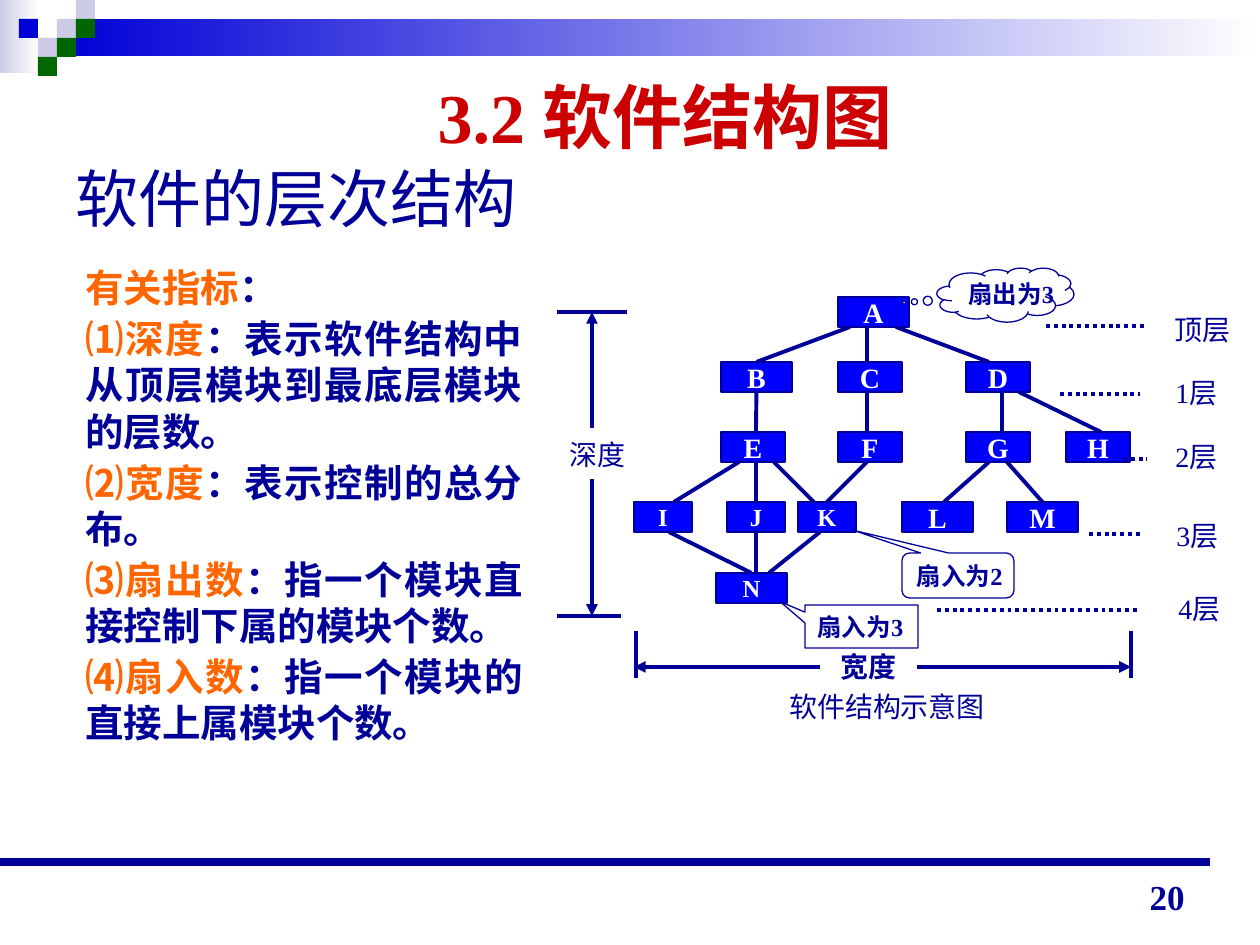
import lxml.etree
import pptx
import pptx.dml.color
import pptx.enum.dml
import pptx.enum.shapes
import pptx.enum.text
import pptx.oxml.ns
import pptx.util

SCALE = 914400 // 126
THEME = {
    "navy": "000099", "blue": "0000D6", "box": "0000FF", "pale": "CCCCE6",
    "green": "006600", "orange": "FF6600", "red": "CC0000", "white": "FFFFFF",
    "latin": "Times New Roman", "cjk": "Noto Sans CJK SC",
    "head": 40, "title": 36, "body": 22, "page": 20, "label": 16, "note": 14,
}
KIND = pptx.enum.shapes.MSO_SHAPE
ALIGN = pptx.enum.text.PP_ALIGN
ANCHOR = pptx.enum.text.MSO_ANCHOR
qn = pptx.oxml.ns.qn

TILE = 19
TILES = [(3, 1, "pale"), (4, 0, "pale"), (4, 1, "green"), (2, 2, "pale"),
         (1, 1, "blue"), (3, 2, "green"), (2, 3, "green")]
BODY = [
    ("有关指标", "："),
    ("⑴深度", "：表示软件结构中从顶层模块到最底层模块的层数。"),
    ("⑵宽度", "：表示控制的总分布。"),
    ("⑶扇出数", "：指一个模块直接控制下属的模块个数。"),
    ("⑷扇入数", "：指一个模块的直接上属模块个数。"),
]
TALL = 30
ROWS = [
    (297, [("A", 838, 71)]),
    (362, [("B", 721, 71), ("C", 838, 64), ("D", 966, 64)]),
    (432, [("E", 721, 64), ("F", 838, 64), ("G", 966, 64), ("H", 1066, 64)]),
    (502, [("I", 634, 58), ("J", 727, 58), ("K", 798, 58),
           ("L", 902, 71), ("M", 1007, 71)]),
    (573, [("N", 716, 71)]),
]
SMALL = "IJKN"
LINKS = [
    ("A", 850, "B", 756), ("A", 867, "C", 867), ("A", 896, "D", 989),
    ("B", 756, "E", 756), ("C", 867, "F", 867), ("D", 1002, "G", 1002),
    ("D", 1019, "H", 1101), ("E", 739, "I", 674), ("E", 756, "J", 756),
    ("E", 774, "K", 814), ("F", 867, "K", 827), ("G", 989, "L", 944),
    ("G", 1007, "M", 1042), ("I", 669, "N", 751), ("J", 756, "N", 756),
    ("K", 820, "N", 769),
]
LEVELS = [
    ("顶层", 1162, 306, 98, (1046, 1144, 326)),
    ("1层", 1163, 369, 77, (1060, 1140, 394)),
    ("2层", 1163, 433, 71, (1123, 1147, 459)),
    ("3层", 1164, 512, 76, (1089, 1140, 534)),
    ("4层", 1166, 585, 94, (937, 1140, 610)),
]
NOTES = [
    ("扇入为2", KIND.ROUNDED_RECTANGULAR_CALLOUT, (902, 553, 112, 45), (-0.94, -1.01, 0.17)),
    ("扇出为3", KIND.CLOUD_CALLOUT, (937, 268, 137, 54), (-0.74, 0.14)),
    ("扇入为3", KIND.RECTANGULAR_CALLOUT, (805, 605, 113, 43), (-0.72, -0.58)),
]
BARS = [(557, 312, 627, 312), (557, 616, 621, 616),
        (636, 631, 636, 678), (1131, 631, 1131, 678)]
ARROWS = [(592, 428, 592, 312), (592, 479, 592, 616),
          (820, 667, 634, 667), (917, 667, 1131, 667)]


def px(*vals):
    return [round(v * SCALE) for v in vals]


def hue(name):
    return pptx.dml.color.RGBColor.from_string(THEME[name])


def write(frame, paras, size="label", color="navy", font="latin", bold=False,
          align=ALIGN.LEFT, anchor=ANCHOR.TOP, wrap=True, gap=0):
    frame.word_wrap = wrap
    frame.vertical_anchor = anchor
    if isinstance(paras, str):
        paras = [[(paras, color)]]
    for i, runs in enumerate(paras):
        para = frame.add_paragraph() if i else frame.paragraphs[0]
        para.alignment = align
        if i and gap:
            para.space_before = pptx.util.Pt(gap)
        for text, tint in runs:
            run = para.add_run()
            run.text = text
            run.font.size = pptx.util.Pt(THEME[size])
            run.font.bold = bold
            run.font.color.rgb = hue(tint)
            run.font.name = THEME[font]
            props = run._r.get_or_add_rPr()
            lxml.etree.SubElement(props, qn("a:ea")).set("typeface", THEME["cjk"])


def label(slide, rect, paras, **style):
    write(slide.shapes.add_textbox(*px(*rect)).text_frame, paras, **style)


def block(slide, rect, fill, kind=KIND.RECTANGLE, edge=None, fade=False):
    shape = slide.shapes.add_shape(kind, *px(*rect))
    shape.shadow.inherit = False
    if fade:
        shape.fill.gradient()
        shape.fill.gradient_angle = 0
        for stop, name in zip(shape.fill.gradient_stops, (fill, "white")):
            stop.color.rgb = hue(name)
    else:
        shape.fill.solid()
        shape.fill.fore_color.rgb = hue(fill)
    if edge:
        shape.line.color.rgb = hue(edge)
        shape.line.width = pptx.util.Pt(0.75)
    else:
        shape.line.fill.background()
    return shape


def line(slide, ends, width=2.25, dots=False, arrow=False):
    link = slide.shapes.add_connector(
        pptx.enum.shapes.MSO_CONNECTOR.STRAIGHT, *px(*ends))
    link.line.color.rgb = hue("navy")
    link.line.width = pptx.util.Pt(width)
    if dots:
        link.line.dash_style = pptx.enum.dml.MSO_LINE.ROUND_DOT
    props = link._element.spPr
    if arrow:
        tip = lxml.etree.SubElement(props.find(qn("a:ln")), qn("a:tailEnd"))
        tip.set("type", "triangle")
    lxml.etree.SubElement(props, qn("a:effectLst"))
    return link


def frame(slide):
    block(slide, (0, 0, 39, 73), "pale", fade=True)
    block(slide, (57, 19, 1203, 37), "blue", fade=True)
    for col, row, color in TILES:
        block(slide, (col * TILE, row * TILE, TILE, TILE), color)
    line(slide, (0, 862, 1210, 862), width=4.5)
    label(slide, (98, 74, 1134, 83), "3.2 软件结构图", size="head", color="red",
          bold=True, align=ALIGN.CENTER, anchor=ANCHOR.MIDDLE)
    label(slide, (63, 150, 1134, 95), "软件的层次结构", size="title",
          font="cjk", anchor=ANCHOR.MIDDLE)
    label(slide, (903, 861, 294, 63), "20", size="page", bold=True,
          align=ALIGN.RIGHT, anchor=ANCHOR.BOTTOM)


def tree(slide):
    nodes = {}
    for top, cells in ROWS:
        for name, left, wide in cells:
            node = block(slide, (left, top, wide, TALL), "box", edge="navy")
            write(node.text_frame, name, size="note" if name in SMALL else "label",
                  color="white", bold=True, align=ALIGN.CENTER,
                  anchor=ANCHOR.MIDDLE, wrap=False)
            nodes[name] = (node, left + wide / 2, top)
    for start, x0, end, x1 in LINKS:
        up, mid0, top0 = nodes[start]
        down, mid1, top1 = nodes[end]
        link = line(slide, (x0, top0 + TALL, x1, top1))
        if abs(x0 - mid0) < 1:
            link.begin_connect(up, 2)
        if abs(x1 - mid1) < 1:
            link.end_connect(down, 0)


def marks(slide):
    for ends in BARS:
        line(slide, ends)
    for ends in ARROWS:
        line(slide, ends, arrow=True)
    for text, kind, rect, tweaks in NOTES:
        note = block(slide, rect, "white", kind=kind, edge="navy")
        for i, value in enumerate(tweaks):
            note.adjustments[i] = value
        write(note.text_frame, text, size="note", bold=True,
              anchor=ANCHOR.MIDDLE, wrap=False)
    for text, left, top, wide, (x0, x1, y) in LEVELS:
        line(slide, (x0, y, x1, y), dots=True)
        label(slide, (left, top, wide, 47), text)
    label(slide, (557, 431, 88, 47), "深度")
    label(slide, (828, 643, 88, 47), "宽度", bold=True)
    label(slide, (777, 683, 337, 47), "软件结构示意图", font="cjk")


def main():
    deck = pptx.Presentation()
    deck.slide_width, deck.slide_height = px(1260, 945)
    slide = deck.slides.add_slide(deck.slide_layouts[6])
    frame(slide)
    tree(slide)
    marks(slide)
    paras = [[(term, "orange"), (rest, "navy")] for term, rest in BODY]
    label(slide, (73, 258, 462, 494), paras, size="body", font="cjk",
          bold=True, align=ALIGN.JUSTIFY, gap=2.8)
    deck.save("out.pptx")


if __name__ == "__main__":
    main()
